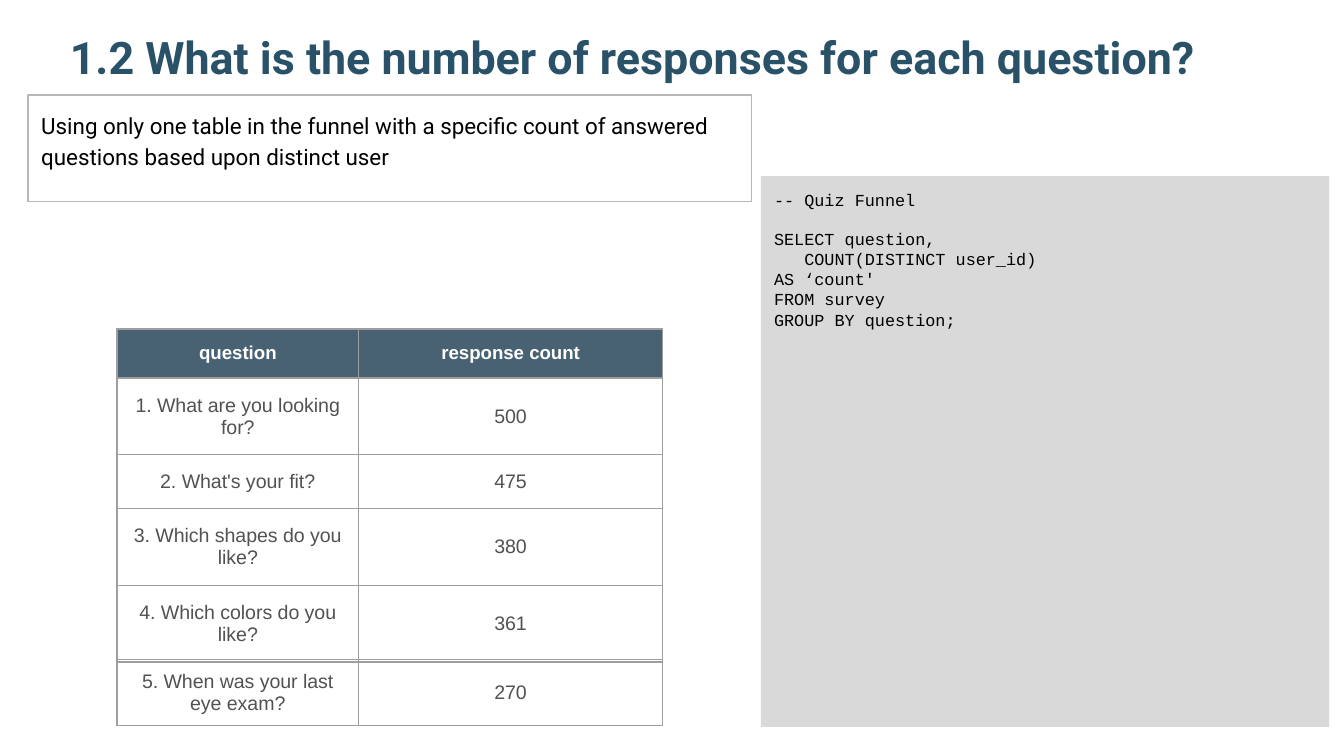
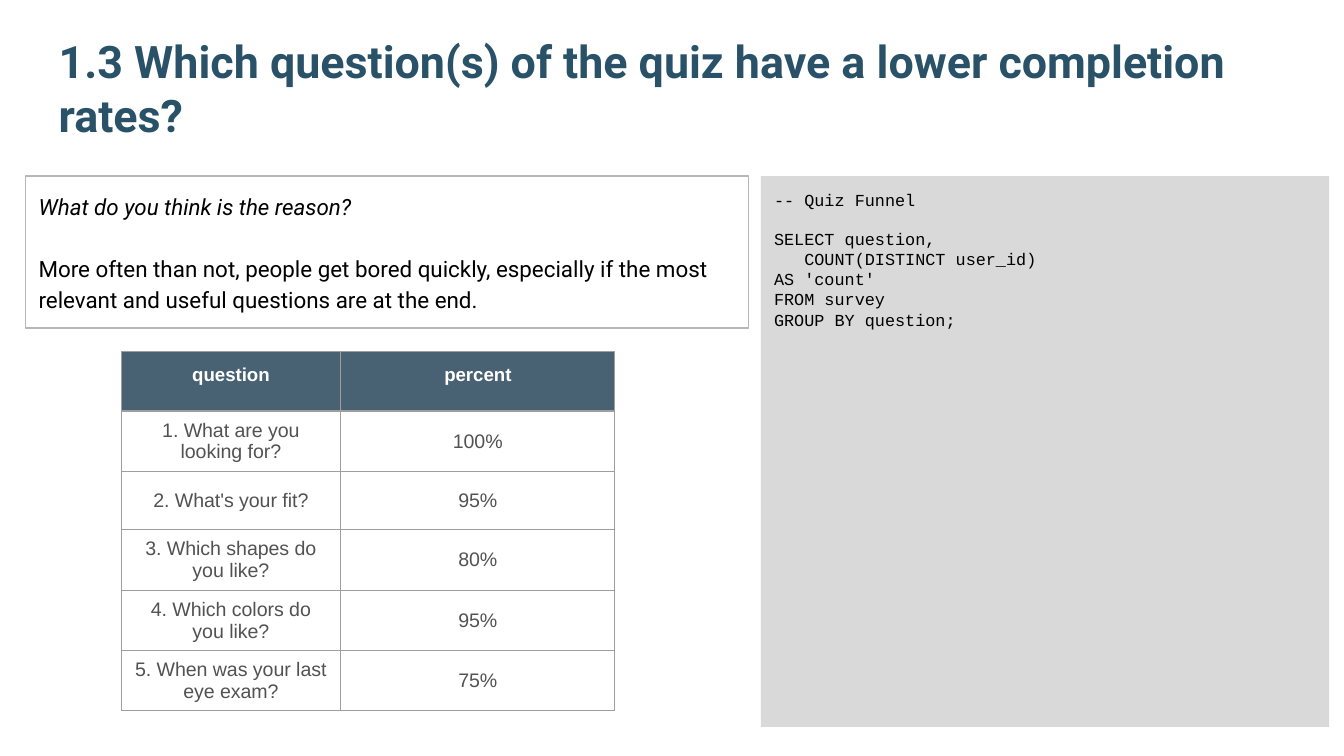
from dataclasses import dataclass
from typing import NamedTuple

from lxml.etree import SubElement
from pptx import Presentation
from pptx.dml.color import RGBColor as Rgb
from pptx.enum.shapes import MSO_SHAPE as Preset
from pptx.enum.text import MSO_ANCHOR as Anchor, PP_ALIGN as Align
from pptx.oxml.ns import qn
from pptx.util import Cm, Pt


@dataclass(frozen=True)
class Theme:
    heading: str = "295269"
    ink: str = "000000"
    code_fill: str = "D9D9D9"
    note_line: str = "B7B7B7"
    grid: str = "9E9E9E"
    header_fill: str = "204056"
    header_alpha: int = 82
    header_ink: str = "FFFFFF"
    body_ink: str = "525252"
    sans: str = "Roboto"
    mono: str = "Courier New"
    table_font: str = "Arial"
    title_size: float = 24
    note_size: float = 12
    code_size: float = 9
    header_size: float = 10
    body_size: float = 10.5
    hairline: float = 0.75


THEME = Theme()
INSET = Cm(0.25)


class Box(NamedTuple):
    left: float
    top: float
    width: float
    height: float

    def lengths(self) -> tuple:
        return tuple(Cm(side) for side in self)


class Line(NamedTuple):
    text: str
    italic: bool = False
    gap: float = 0


@dataclass(frozen=True)
class Grid:
    left: float
    top: float
    columns: tuple
    heights: tuple
    rows: tuple
    has_header: bool = False


@dataclass(frozen=True)
class Question:
    title: str
    title_box: Box
    note: tuple
    note_box: Box
    query: tuple
    grids: tuple


CODE_BOX = Box(14.38, 3.33, 10.74, 10.41)


def quiz_query(alias: str) -> tuple:
    return (
        Line("-- Quiz Funnel"),
        Line("SELECT question,", gap=10.2),
        Line("   COUNT(DISTINCT user_id)"),
        Line(f"AS {alias}"),
        Line("FROM survey"),
        Line("GROUP BY question;"),
    )


def answer_grids(left: float, tops: tuple, columns: tuple, heights: tuple,
                 measure: str, values: tuple) -> tuple:
    """The main table, and the last question in a table of its own."""
    labels = ("1. What are you looking for?", "2. What's your fit?",
              "3. Which shapes do you like?", "4. Which colors do you like?",
              "5. When was your last eye exam?")
    rows = (("question", measure), *zip(labels, values))
    return (Grid(left, tops[0], columns, heights[:-1], rows[:-1], True),
            Grid(left, tops[1], columns, heights[-1:], rows[-1:]))


QUESTIONS = (
    Question(
        "1.2 What is the number of responses for each question?",
        Box(1.07, 0.53, 23.6, 1.3),
        (Line("Using only one table in the funnel with a specific count of "
              "answered questions based upon distinct user"),),
        Box(0.53, 1.8, 13.67, 2.01),
        quiz_query("‘count'"),
        answer_grids(2.21, (6.22, 12.47), (4.57, 5.74),
                     (0.66, 1.45, 1.02, 1.45, 1.45, 1.24),
                     "response count", ("500", "475", "380", "361", "270")),
    ),
    Question(
        "1.3 Which question(s) of the quiz have a lower completion rates?",
        Box(0.86, 0.58, 23.67, 2.34),
        (Line("What do you think is the reason?", italic=True),
         Line("More often than not, people get bored quickly, especially if "
              "the most relevant and useful questions are at the end.",
              gap=16.5)),
        Box(0.48, 3.33, 13.67, 2.87),
        quiz_query("'count'"),
        answer_grids(2.29, (6.65, 12.29), (4.15, 5.18),
                     (1.12, 1.1, 1.1, 1.1, 1.1, 0.99),
                     "percent", ("100%", "95%", "80%", "95%", "75%")),
    ),
)


def style(font, name: str, size: float, color: str, bold: bool = False,
          italic: bool = False) -> None:
    font.name, font.size = name, Pt(size)
    font.bold, font.italic = bold, italic
    font.color.rgb = Rgb.from_string(color)


def write(frame, lines: tuple, name: str, size: float, color: str,
          bold: bool = False, spacing: float = 1.0,
          anchor: Anchor = Anchor.TOP) -> None:
    frame.word_wrap = True
    frame.vertical_anchor = anchor
    frame.margin_left = frame.margin_right = INSET
    frame.margin_top = frame.margin_bottom = INSET
    frame.text = "\n".join(line.text for line in lines)
    for paragraph, line in zip(frame.paragraphs, lines):
        paragraph.alignment = Align.LEFT
        paragraph.line_spacing = spacing
        if line.gap:
            paragraph.space_before = Pt(line.gap)
        for run in paragraph.runs:
            style(run.font, name, size, color, bold, line.italic)


def add_title(slide, text: str, box: Box) -> None:
    title = slide.shapes.add_textbox(*box.lengths())
    write(title.text_frame, (Line(text),), THEME.sans, THEME.title_size,
          THEME.heading, bold=True, anchor=Anchor.BOTTOM)


def add_panel(slide, box: Box):
    panel = slide.shapes.add_shape(Preset.RECTANGLE, *box.lengths())
    panel.shadow.inherit = False
    return panel


def add_code(slide, lines: tuple) -> None:
    code = add_panel(slide, CODE_BOX)
    code.fill.solid()
    code.fill.fore_color.rgb = Rgb.from_string(THEME.code_fill)
    code.line.fill.background()
    write(code.text_frame, lines, THEME.mono, THEME.code_size, THEME.ink)


def add_note(slide, lines: tuple, box: Box) -> None:
    note = add_panel(slide, box)
    note.fill.background()
    note.line.color.rgb = Rgb.from_string(THEME.note_line)
    note.line.width = Pt(THEME.hairline)
    write(note.text_frame, lines, THEME.sans, THEME.note_size, THEME.ink,
          spacing=1.15)


def add_borders(cell) -> None:
    properties = cell._tc.get_or_add_tcPr()
    for position, side in enumerate(("a:lnL", "a:lnR", "a:lnT", "a:lnB")):
        border = SubElement(properties, qn(side), w=str(Pt(THEME.hairline)))
        paint = SubElement(border, qn("a:solidFill"))
        SubElement(paint, qn("a:srgbClr"), val=THEME.grid)
        # Borders come before the cell fill in the schema
        properties.insert(position, border)


def fill_header(cell) -> None:
    cell.fill.solid()
    cell.fill.fore_color.rgb = Rgb.from_string(THEME.header_fill)
    color = cell._tc.tcPr.find(f".//{qn('a:srgbClr')}")
    SubElement(color, qn("a:alpha"), val=str(THEME.header_alpha * 1000))


def format_cell(cell, text: str, is_header: bool) -> None:
    cell.text_frame.text = text
    paragraph = cell.text_frame.paragraphs[0]
    paragraph.alignment = Align.CENTER
    font = paragraph.runs[0].font
    if is_header:
        fill_header(cell)
        cell.vertical_anchor = Anchor.TOP
        cell.margin_left = cell.margin_right = INSET
        cell.margin_top = cell.margin_bottom = INSET
        style(font, THEME.table_font, THEME.header_size, THEME.header_ink,
              bold=True)
    else:
        cell.fill.background()
        cell.vertical_anchor = Anchor.MIDDLE
        style(font, THEME.table_font, THEME.body_size, THEME.body_ink)
    add_borders(cell)


def add_grid(slide, grid: Grid) -> None:
    box = Box(grid.left, grid.top, sum(grid.columns), sum(grid.heights))
    table = slide.shapes.add_table(len(grid.rows), len(grid.columns),
                                   *box.lengths()).table
    table.first_row = table.horz_banding = False
    for column, width in zip(table.columns, grid.columns):
        column.width = Cm(width)
    for index, (row, height) in enumerate(zip(table.rows, grid.heights)):
        row.height = Cm(height)
        for cell, text in zip(row.cells, grid.rows[index]):
            format_cell(cell, text, grid.has_header and index == 0)


def main() -> None:
    deck = Presentation()
    deck.slide_width, deck.slide_height = Cm(25.4), Cm(14.29)
    for question in QUESTIONS:
        slide = deck.slides.add_slide(deck.slide_layouts[6])
        add_title(slide, question.title, question.title_box)
        add_code(slide, question.query)
        add_note(slide, question.note, question.note_box)
        for grid in question.grids:
            add_grid(slide, grid)
    deck.save("out.pptx")


if __name__ == "__main__":
    main()
